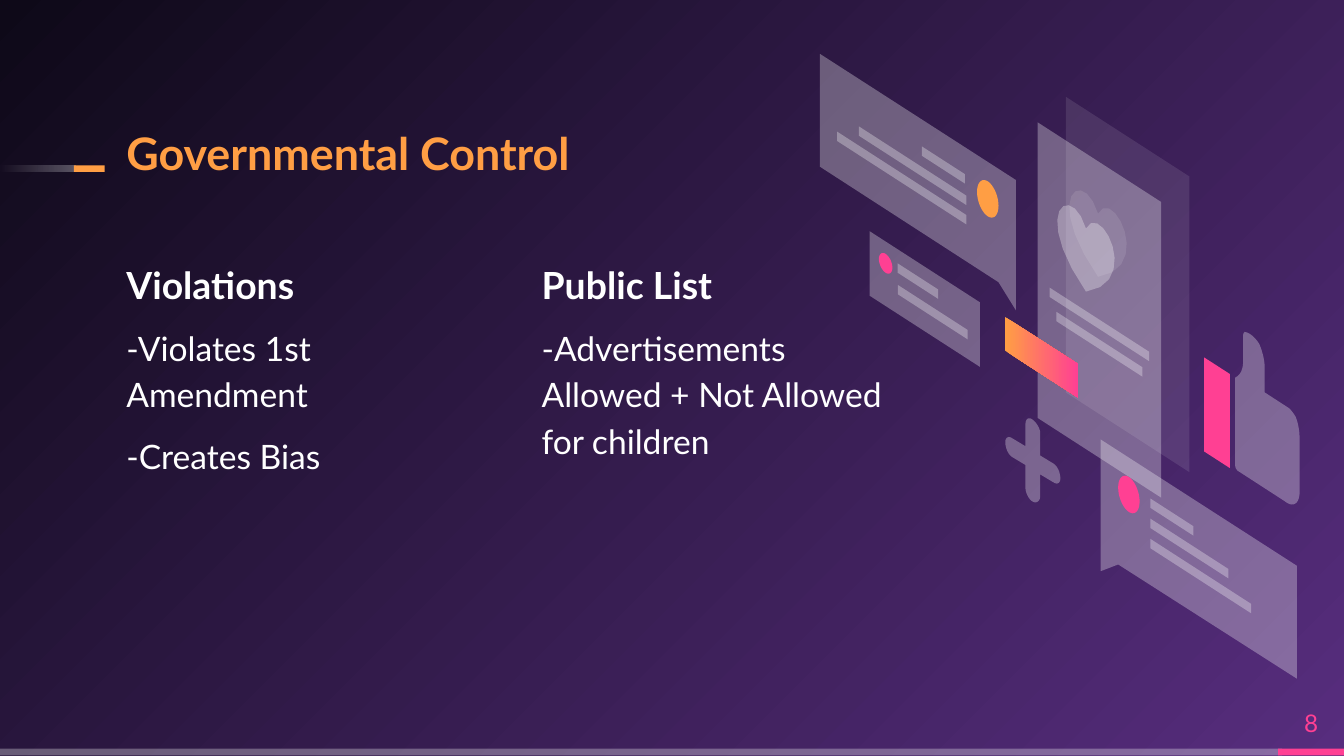
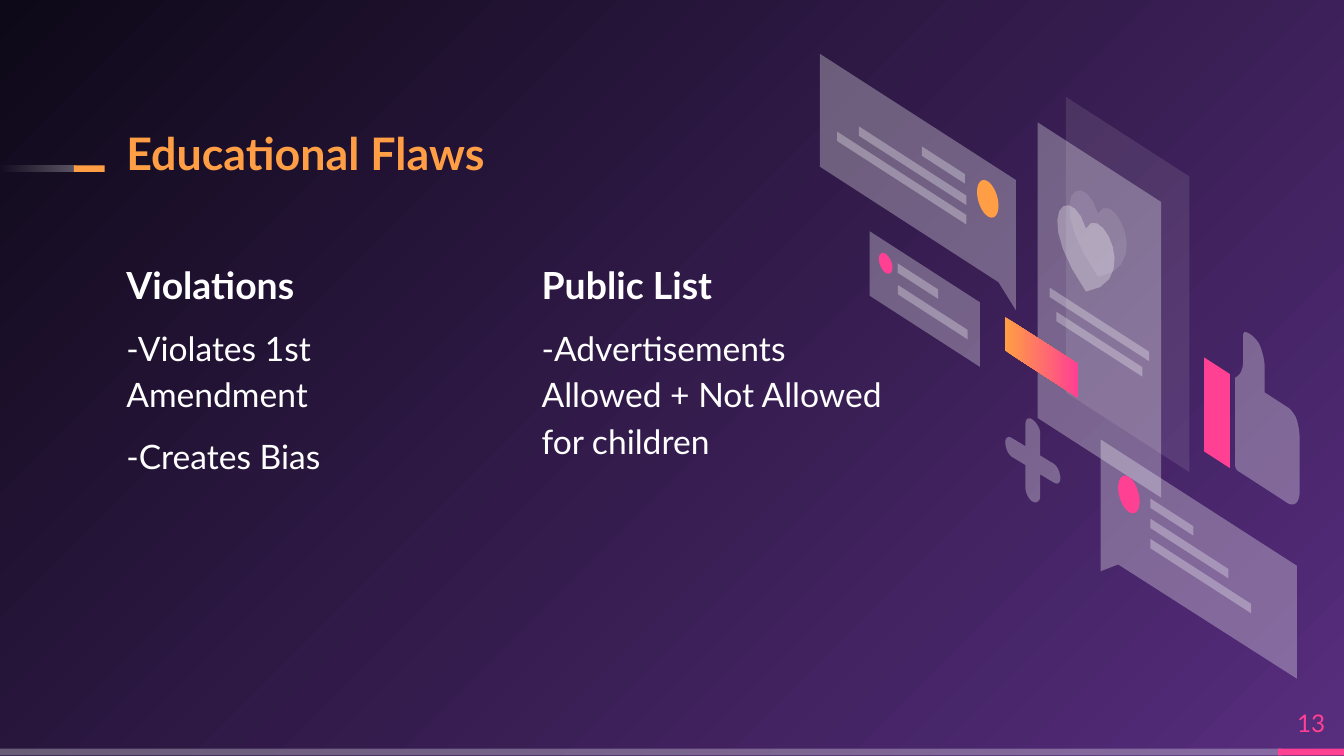
from math import cos, pi, sin

from lxml.etree import SubElement
from pptx import Presentation
from pptx.dml.color import RGBColor
from pptx.enum.shapes import MSO_SHAPE
from pptx.enum.text import MSO_ANCHOR, PP_ALIGN
from pptx.oxml.ns import qn
from pptx.util import Inches, Pt

COLOURS = {
    "violet": "572D7E", "night": "0E0918", "orange": "FF9E44", "pink": "FF4093",
    "white": "FFFFFF", "glass": "FFFFFF", "haze": "FFFFFF", "clear": "FFFFFF",
}
OPACITY = {"glass": 30, "haze": 10, "clear": 0}
SLOPE = 0.645  # fall of every slanted edge, per unit of width
CURVE_STEPS = 10
DOT_STEPS = 36

# Text styles: paragraph values, then font values
TITLE = ({"line_spacing": 0.9}, {"size": Pt(24), "bold": True}, "orange")
HEADING = ({"line_spacing": 1.15}, {"size": Pt(20), "bold": True}, "white")
ITEM = ({"line_spacing": 1.15, "space_before": Pt(8)}, {"size": Pt(18), "bold": False}, "white")
LAST_ITEM = ({**ITEM[0], "space_after": Pt(8)}, *ITEM[1:])
NUMBER = ({"alignment": PP_ALIGN.CENTER}, {"size": Pt(13), "bold": False}, "pink")

SLIDES = [("Governmental Control", "8"), ("Educational Flaws", "13")]
COLUMNS = [
    (0.94, [("Violations", HEADING), ("-Violates 1st Amendment", ITEM),
            ("-Creates Bias", LAST_ITEM)]),
    (4.03, [("Public List", HEADING),
            ("-Advertisements Allowed + Not Allowed for children", LAST_ITEM)]),
]
BANDS = [
    ((0, 5.57, 9.54, 0.05), ["glass"], 0),
    ((9.51, 5.57, 0.49, 0.05), ["pink"], 0),
    ((0, 1.23, 0.56, 0.05), ["glass", "clear"], 180),
    ((0.55, 1.23, 0.23, 0.05), ["orange"], 0),
]

# Outlines: a pair is a corner, six numbers are a Bézier curve
HEART = [(0.21, 0.64), (-0.21, 0.03, 0.1, -0.19, 0.21, 0.17), (0.32, -0.04, 0.63, 0.58, 0.21, 0.64)]
BACK_HEART, FRONT_HEART = (
    [tuple(value + (left, top)[i % 2] for i, value in enumerate(part)) for part in HEART]
    for left, top in ((7.96, 1.42), (7.87, 1.53)))
LARGE_BUBBLE = [(7.56, 1.34), (6.1, 0.4), (6.1, 1.24), (7.43, 2.1), (7.56, 2.31)]
LOWER_BUBBLE = [(8.19, 3.27), (9.65, 4.21), (9.65, 5.05), (8.32, 4.2), (8.19, 4.25)]
THUMB = [
    (9.37, 2.56), (9.32, 2.48, 9.27, 2.47, 9.26, 2.47), (9.26, 2.47, 9.25, 2.48, 9.25, 2.49),
    (9.25, 2.68), (9.25, 2.75, 9.23, 2.79, 9.19, 2.81), (9.19, 3.46),
    (9.19, 3.48, 9.2, 3.5, 9.22, 3.51), (9.56, 3.73), (9.62, 3.78, 9.67, 3.75, 9.67, 3.66),
    (9.67, 3.27), (9.67, 3.21, 9.66, 3.15, 9.64, 3.1), (9.62, 3.07, 9.6, 3.04, 9.58, 3.03),
    (9.41, 2.92), (9.41, 2.74), (9.41, 2.67, 9.39, 2.61, 9.37, 2.56),
]
PLUS = [
    (7.68, 3.12), (7.71, 3.14, 7.74, 3.19, 7.74, 3.22), (7.74, 3.39), (7.84, 3.45),
    (7.87, 3.47, 7.89, 3.52, 7.89, 3.56), (7.89, 3.59, 7.87, 3.61, 7.84, 3.59),
    (7.74, 3.53), (7.74, 3.69), (7.74, 3.73, 7.71, 3.75, 7.68, 3.73),
    (7.65, 3.71, 7.63, 3.66, 7.63, 3.63), (7.63, 3.46), (7.53, 3.4),
    (7.5, 3.38, 7.48, 3.33, 7.48, 3.29), (7.48, 3.26, 7.5, 3.24, 7.53, 3.26),
    (7.63, 3.32), (7.63, 3.16), (7.63, 3.12, 7.65, 3.1, 7.68, 3.12),
]

# Illustration from back to front: panels are left, top, width, edge height;
# dots are centre x, centre y, radius across, radius down
ILLUSTRATION = [
    ("panel", (7.93, 0.72, 0.92, 2.2), ["haze"]),
    ("outline", BACK_HEART, ["haze"]),
    ("panel", (6.47, 1.72, 0.82, 0.48), ["glass"]),
    ("dot", (6.59, 1.96, 0.05, 0.07), ["pink"]),
    ("panel", (6.68, 1.96, 0.3, 0.07), ["glass"]),
    ("panel", (6.68, 2.12, 0.52, 0.07), ["glass"]),
    ("panel", (7.72, 0.91, 0.92, 2.2), ["glass"]),
    ("panel", (7.81, 2.14, 0.74, 0.07), ["glass"]),
    ("panel", (7.86, 2.32, 0.64, 0.07), ["glass"]),
    ("panel", (7.48, 2.36, 0.54, 0.25), ["orange", "pink"]),
    ("outline", THUMB, ["glass"]),
    ("panel", (8.96, 2.66, 0.19, 0.7), ["pink"]),
    ("outline", LARGE_BUBBLE, ["glass"]),
    ("panel", (6.86, 1.09, 0.32, 0.07), ["glass"]),
    ("panel", (6.39, 0.94, 0.8, 0.07), ["glass"]),
    ("panel", (6.23, 0.98, 0.96, 0.07), ["glass"]),
    ("dot", (7.35, 1.48, 0.08, 0.13), ["orange"]),
    ("outline", LOWER_BUBBLE, ["glass"]),
    ("panel", (8.56, 3.71, 0.32, 0.07), ["glass"]),
    ("panel", (8.56, 3.86, 0.58, 0.07), ["glass"]),
    ("panel", (8.56, 4.01, 0.75, 0.07), ["glass"]),
    ("dot", (8.4, 3.68, 0.08, 0.13), ["pink"]),
    ("outline", PLUS, ["glass"]),
    ("outline", FRONT_HEART, ["glass"]),
]


def paint(shape, names, angle=0):
    """Fill a shape with one colour, or with a gradient between two."""
    if len(names) == 1:
        shape.fill.solid()
        shape.fill.fore_color.rgb = RGBColor.from_string(COLOURS[names[0]])
    else:
        shape.fill.gradient()
        shape.fill.gradient_angle = angle
        for stop, name in zip(shape.fill.gradient_stops, names):
            stop.color.rgb = RGBColor.from_string(COLOURS[name])
    for colour, name in zip(shape.element.spPr.iter(qn("a:srgbClr")), names):
        if name in OPACITY:
            SubElement(colour, qn("a:alpha"), val=str(OPACITY[name] * 1000))
    shape.line.fill.background()
    shape.shadow.inherit = False


def add_text(page, place, lines, anchor=MSO_ANCHOR.TOP):
    """Add a text box without margins, one paragraph per styled line."""
    box = page.shapes.add_textbox(*map(Inches, place))
    frame = box.text_frame
    frame.word_wrap = True
    frame.vertical_anchor = anchor
    for side in ("left", "top", "right", "bottom"):
        setattr(frame, f"margin_{side}", 0)
    for index, (text, (spacing, font, colour)) in enumerate(lines):
        para = frame.add_paragraph() if index else frame.paragraphs[0]
        for key, value in spacing.items():
            setattr(para, key, value)
        span = para.add_run()
        span.text = text
        for key, value in {"name": "Lato", **font}.items():
            setattr(span.font, key, value)
        span.font.color.rgb = RGBColor.from_string(COLOURS[colour])


deck = Presentation()
deck.slide_width = Inches(10)
deck.slide_height = Inches(5.625)

for title, number in SLIDES:
    page = deck.slides.add_slide(deck.slide_layouts[6])

    # Background glowing from the bottom right corner
    backdrop = page.background.fill
    backdrop.gradient()
    for stop, name in zip(backdrop.gradient_stops, ("violet", "night")):
        stop.color.rgb = RGBColor.from_string(COLOURS[name])
    gradient = page.element.find(".//" + qn("a:gradFill"))
    gradient.remove(gradient.find(qn("a:lin")))
    glow = SubElement(gradient, qn("a:path"), path="circle")
    SubElement(glow, qn("a:fillToRect"), l="100000", t="100000")

    # Footer and title bands
    for place, names, angle in BANDS:
        band = page.shapes.add_shape(MSO_SHAPE.RECTANGLE, *map(Inches, place))
        paint(band, names, angle)

    # Title, columns and slide number
    add_text(page, (0.94, 0.91, 5.8, 0.43), [(title, TITLE)], MSO_ANCHOR.BOTTOM)
    for left, lines in COLUMNS:
        add_text(page, (left, 1.9, 2.71, 3.74), lines)
    add_text(page, (9.51, 5.19, 0.49, 0.38), [(number, NUMBER)], MSO_ANCHOR.MIDDLE)

    # Slanted illustration of messages
    group = page.shapes.add_group_shape()
    for kind, geometry, names in ILLUSTRATION:
        points = []
        if kind == "panel":
            left, top, width, height = geometry
            right, drop = left + width, top + SLOPE * width
            points = [(left, top), (right, drop), (right, drop + height), (left, top + height)]
        elif kind == "dot":
            x, y, across, down = geometry
            for step in range(DOT_STEPS):
                turn = 2 * pi * step / DOT_STEPS
                shift = across * cos(turn)
                points.append((x + shift, y + SLOPE * shift + down * sin(turn)))
        else:
            for part in geometry:
                if len(part) == 2:
                    points.append(part)
                    continue
                knots = [points[-1], part[:2], part[2:4], part[4:]]
                for step in range(1, CURVE_STEPS + 1):
                    t = step / CURVE_STEPS
                    weights = ((1 - t) ** 3, 3 * t * (1 - t) ** 2, 3 * t * t * (1 - t), t ** 3)
                    points.append(tuple(
                        sum(weight * knot[axis] for weight, knot in zip(weights, knots))
                        for axis in (0, 1)))
        corners = [(Inches(x), Inches(y)) for x, y in points]
        builder = group.shapes.build_freeform(*corners[0])
        builder.add_line_segments(corners[1:], close=True)
        paint(builder.convert_to_shape(), names)

deck.save("out.pptx")
